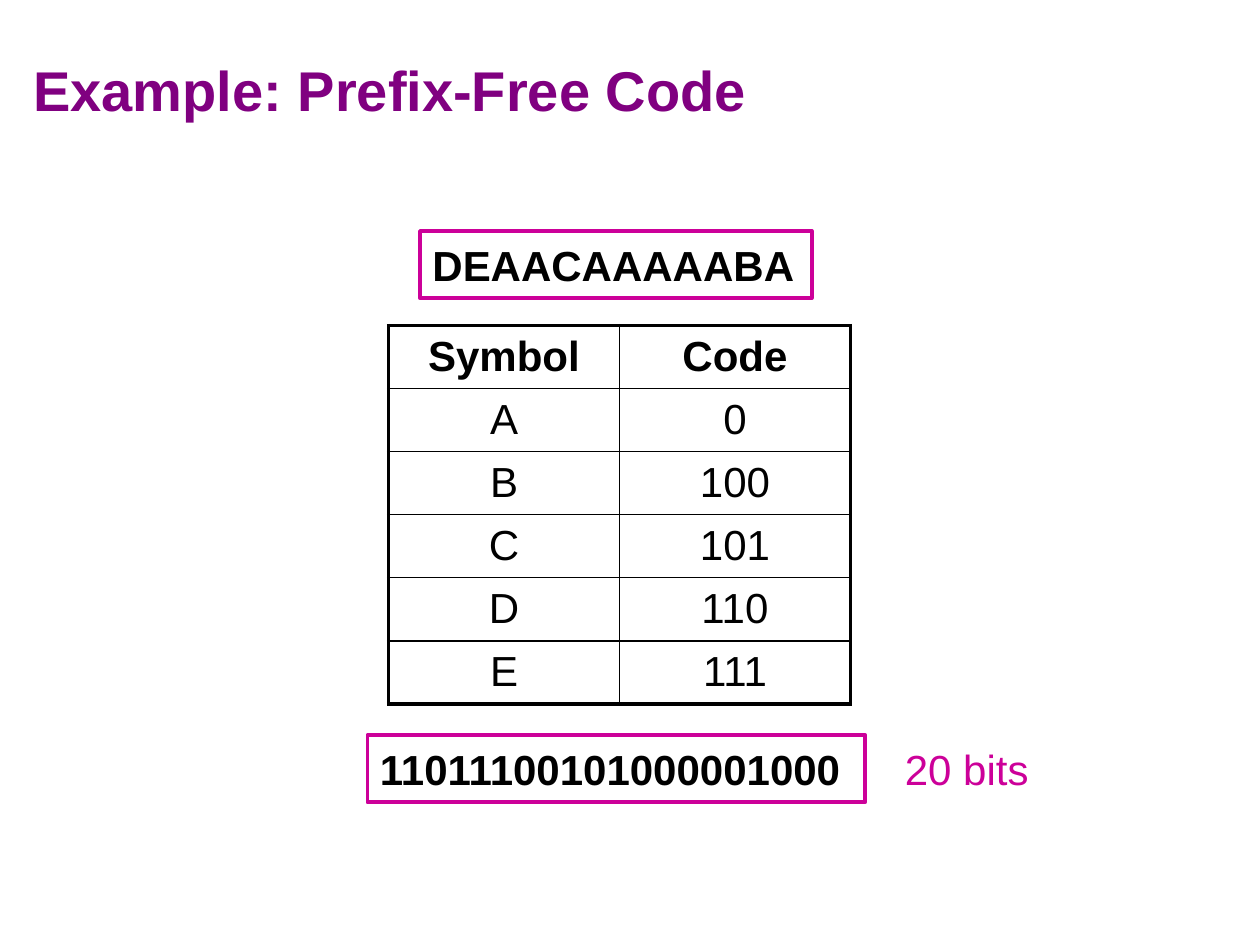
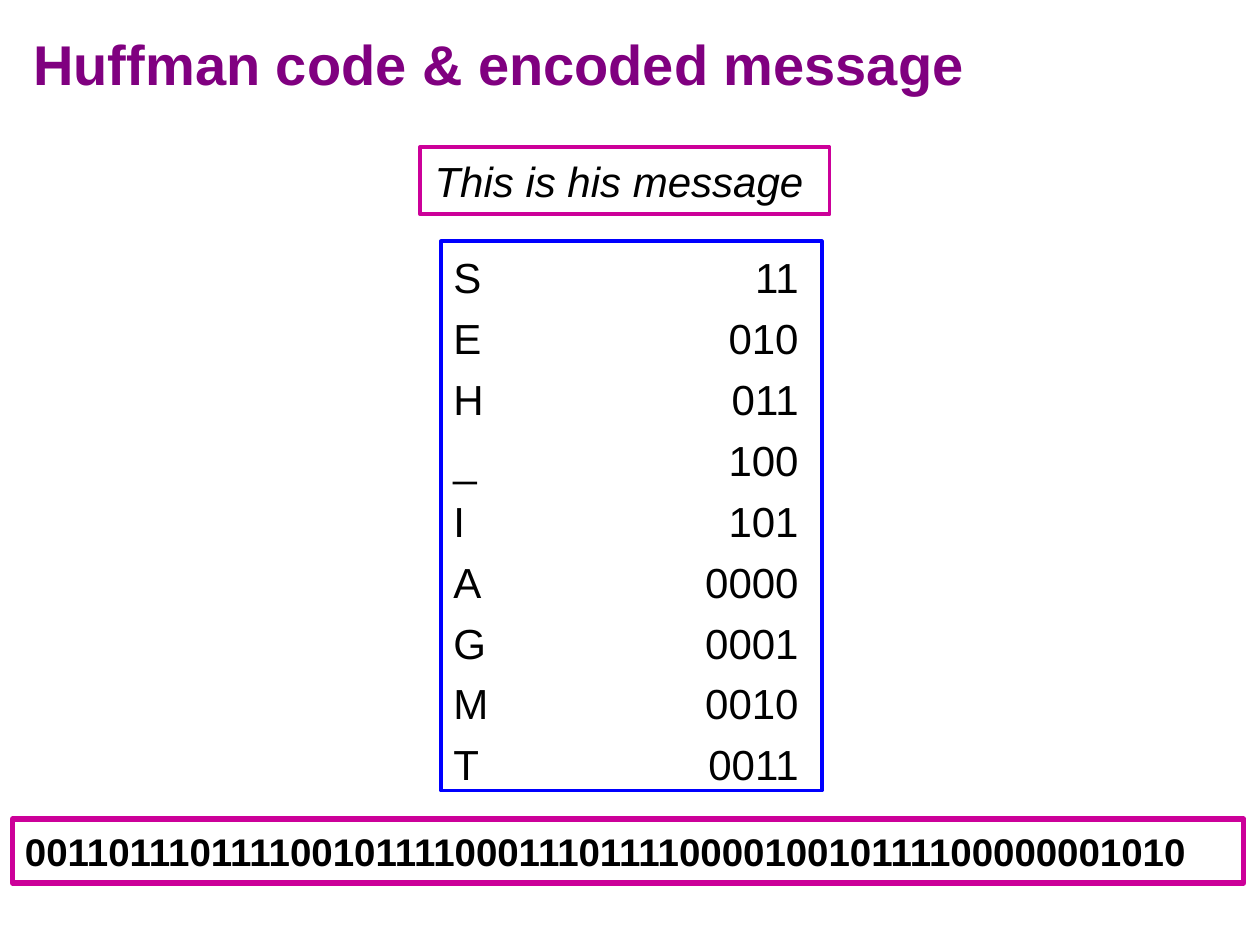
from lxml import etree
from pptx import Presentation
from pptx import util as u
from pptx.dml.color import RGBColor
from pptx.enum import shapes, text
from pptx.oxml import ns

PURPLE = RGBColor(0x80, 0x00, 0x80)
MAGENTA = RGBColor(0xCC, 0x00, 0x99)
BLUE = RGBColor(0x00, 0x00, 0xFF)
BLACK = RGBColor(0x00, 0x00, 0x00)
FONT = "Arial"
UNIT = u.Inches(10) / 120
LEFT, CENTER = text.PP_ALIGN.LEFT, text.PP_ALIGN.CENTER
TOP, MIDDLE = text.MSO_ANCHOR.TOP, text.MSO_ANCHOR.MIDDLE


def write_text(frame, content, size=24, color=BLACK, bold=False, italic=False,
               align=LEFT, anchor=MIDDLE, gap=0):
    frame.word_wrap = True
    frame.vertical_anchor = anchor
    for index, line in enumerate(content.split("\n")):
        paragraph = frame.add_paragraph() if index else frame.paragraphs[0]
        paragraph.alignment = align
        paragraph.space_before = u.Pt(gap if index else 0)
        run = paragraph.add_run()
        run.text = line
        run.font.name, run.font.size = FONT, u.Pt(size)
        run.font.bold, run.font.italic = bold, italic
        run.font.color.rgb = color


def add_box(slide, column, row, columns, rows, content, line=None, weight=2.25, **style):
    place = [round(value * UNIT) for value in (column, row, columns, rows)]
    if line is None:
        shape = slide.shapes.add_textbox(*place)
    else:
        shape = slide.shapes.add_shape(shapes.MSO_SHAPE.RECTANGLE, *place)
        shape.shadow.inherit = False
        shape.fill.background()
        shape.line.color.rgb = line
        shape.line.width = u.Pt(weight)
    write_text(shape.text_frame, content, **style)
    return shape


presentation = Presentation()
presentation.slide_width = u.Inches(10)
presentation.slide_height = u.Inches(7.5)

titles = [("Example: Prefix-Free Code", 3), ("Huffman code & encoded message", 0.5)]
slides = []
for title, row in titles:
    slide = presentation.slides.add_slide(presentation.slide_layouts[6])
    add_box(slide, 2, row, 116, 11, title, size=32, color=PURPLE, bold=True)
    slides.append(slide)
prefix_slide, huffman_slide = slides

code_rows = [("Symbol", "Code"), ("A", "0"), ("B", "100"),
             ("C", "101"), ("D", "110"), ("E", "111")]
last_row = len(code_rows) - 1
table = prefix_slide.shapes.add_table(
    len(code_rows), 2, *[round(value * UNIT) for value in (37, 31, 44, 35)]).table
table.first_row = table.horz_banding = False
for row, values in enumerate(code_rows):
    for column, value in enumerate(values):
        cell = table.cell(row, column)
        cell.fill.background()
        cell.vertical_anchor = MIDDLE
        write_text(cell.text_frame, value, bold=row == 0, align=CENTER)
        outer_edges = {"lnL": column == 0, "lnR": column == 1,
                       "lnT": row == 0, "lnB": row == last_row}
        properties = cell._tc.get_or_add_tcPr()
        for index, (edge, is_outer) in enumerate(outer_edges.items()):
            border = etree.Element(ns.qn(f"a:{edge}"), w=str(u.Pt(2.25 if is_outer else 1)))
            fill = etree.SubElement(border, ns.qn("a:solidFill"))
            etree.SubElement(fill, ns.qn("a:srgbClr"), val=str(BLACK))
            properties.insert(index, border)

add_box(prefix_slide, 40, 22, 37.3, 6.4, "DEAACAAAAABA", line=MAGENTA, bold=True)
add_box(prefix_slide, 35, 70, 47.4, 6.4, "11011100101000001000", line=MAGENTA, bold=True)
add_box(prefix_slide, 85, 70, 15, 6.4, "20 bits", color=MAGENTA)

huffman_codes = {"S": "11", "E": "010", "H": "011", "_": "100", "I": "101",
                 "A": "0000", "G": "0001", "M": "0010", "T": "0011"}
code_list = add_box(huffman_slide, 42, 23, 36.25, 52.3,
                    "\n".join(f"{symbol}\t{code}" for symbol, code in huffman_codes.items()),
                    line=BLUE, anchor=TOP, gap=6)
code_list.text_frame.margin_top = u.Inches(0.08)
for paragraph in code_list.text_frame.paragraphs:
    tabs = etree.SubElement(paragraph._p.get_or_add_pPr(), ns.qn("a:tabLst"))
    etree.SubElement(tabs, ns.qn("a:tab"), pos=str(u.Inches(2.74)), algn="r")

add_box(huffman_slide, 40, 14, 39, 6.4, "This is his message ", line=MAGENTA,
        italic=True, align=CENTER)
add_box(huffman_slide, 1.2, 78, 117.25, 6.1,
        "00110111011110010111100011101111000010010111100000001010",
        line=MAGENTA, weight=3, size=22, bold=True)

presentation.save("out.pptx")
